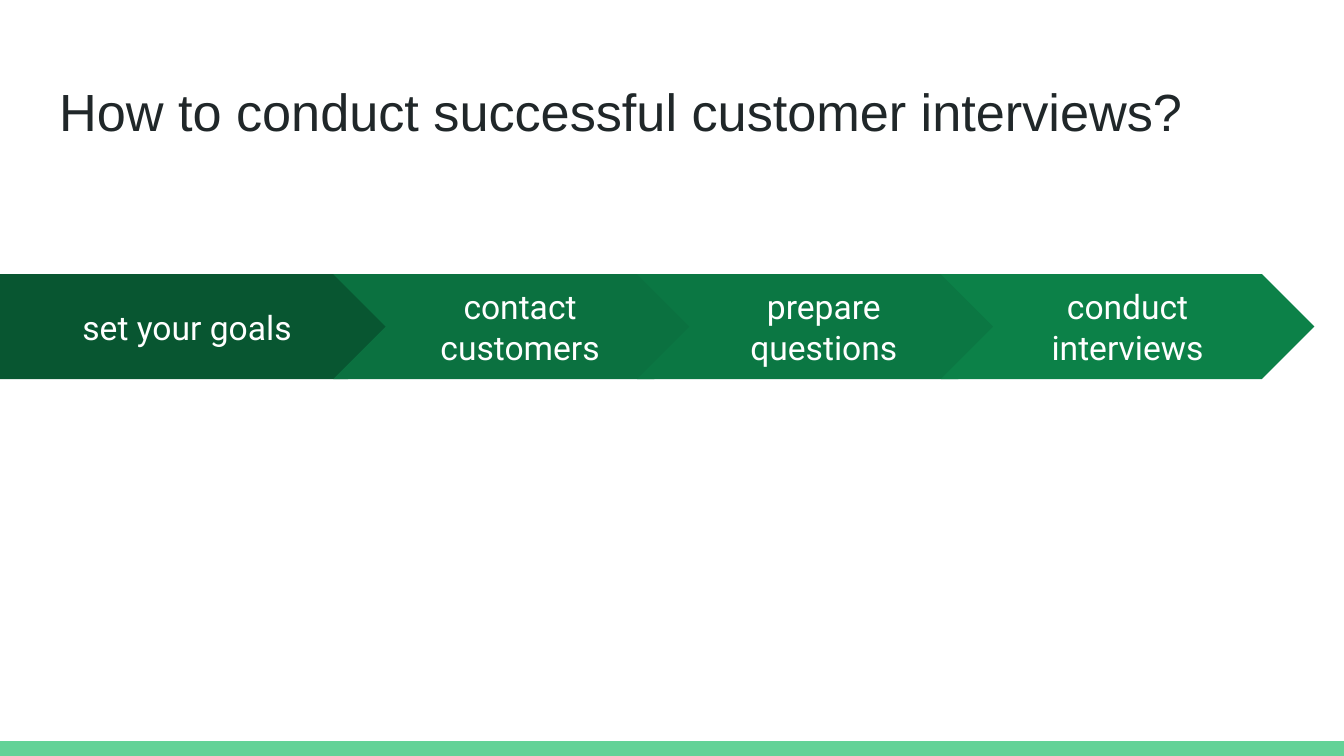
from pptx import Presentation
from pptx.dml.color import RGBColor
from pptx.enum.shapes import MSO_SHAPE
from pptx.enum.text import MSO_ANCHOR, PP_ALIGN
from pptx.util import Inches, Pt

RECT, PENTAGON, CHEVRON = MSO_SHAPE.RECTANGLE, MSO_SHAPE.PENTAGON, MSO_SHAPE.CHEVRON
TOP, MIDDLE = MSO_ANCHOR.TOP, MSO_ANCHOR.MIDDLE
LEFT, CENTER = PP_ALIGN.LEFT, PP_ALIGN.CENTER

SLIDE_W = 10
SLIDE_H = SLIDE_W * 9 / 16

STEPS = [
    ("set your goals", "085631"),
    ("contact customers", "0B7140"),
    ("prepare questions", "0B7743"),
    ("conduct interviews", "0C8148"),
]


def rgb(value):
    """Turn a hex string into a colour."""
    return RGBColor.from_string(value)


def set_text(s, text, font, size, color, align, anchor):
    """Write one formatted paragraph into a shape."""
    tf = s.text_frame
    tf.text = text
    tf.word_wrap = True
    tf.vertical_anchor = anchor
    tf.margin_left = tf.margin_right = tf.margin_top = tf.margin_bottom = Inches(0.1)
    p = tf.paragraphs[0]
    p.alignment = align
    r = p.runs[0]
    r.font.name = font
    r.font.size = Pt(size)
    r.font.color.rgb = rgb(color)


def add_block(slide, kind, x, y, w, h, fill):
    """Add a flat filled shape without outline or shadow."""
    s = slide.shapes.add_shape(kind, Inches(x), Inches(y), Inches(w), Inches(h))
    s.shadow.inherit = False
    s.fill.solid()
    s.fill.fore_color.rgb = rgb(fill)
    s.line.fill.background()
    return s


def add_title(slide, x, y, w, h, text):
    """Place the slide title in its placeholder."""
    s = slide.shapes.title
    s.left, s.top, s.width, s.height = Inches(x), Inches(y), Inches(w), Inches(h)
    set_text(s, text, "Arial", 28, "202729", LEFT, TOP)


def add_process(slide, x, y, w, h, steps):
    """Draw a row of overlapping arrows, the first a pentagon reaching further left."""
    pitch, pentagon_w, chevron_w = 2.26, 2.98, 2.78
    first_x = x + w - chevron_w - (len(steps) - 1) * pitch
    for i, (label, fill) in enumerate(steps):
        if i == 0:
            s = add_block(slide, PENTAGON, x, y, pentagon_w, h, fill)
        else:
            s = add_block(slide, CHEVRON, first_x + i * pitch, y, chevron_w, h, fill)
        s.adjustments[0] = 0.5
        set_text(s, label, "Roboto", 18, "FFFFFF", CENTER, MIDDLE)


def main():
    """Build and save the slide."""
    prs = Presentation()
    prs.slide_width, prs.slide_height = Inches(SLIDE_W), Inches(SLIDE_H)
    slide = prs.slides.add_slide(prs.slide_layouts[5])
    slide.background.fill.solid()
    slide.background.fill.fore_color.rgb = rgb("FFFFFF")
    add_block(slide, RECT, 0, SLIDE_H - 0.11, SLIDE_W, 0.11, "63D297")
    add_title(slide, 0.34, 0.49, 9.32, 0.63, "How to conduct successful customer interviews?")
    add_process(slide, 0, 2.04, 9.78, 0.78, STEPS)
    prs.save("out.pptx")


if __name__ == "__main__":
    main()
